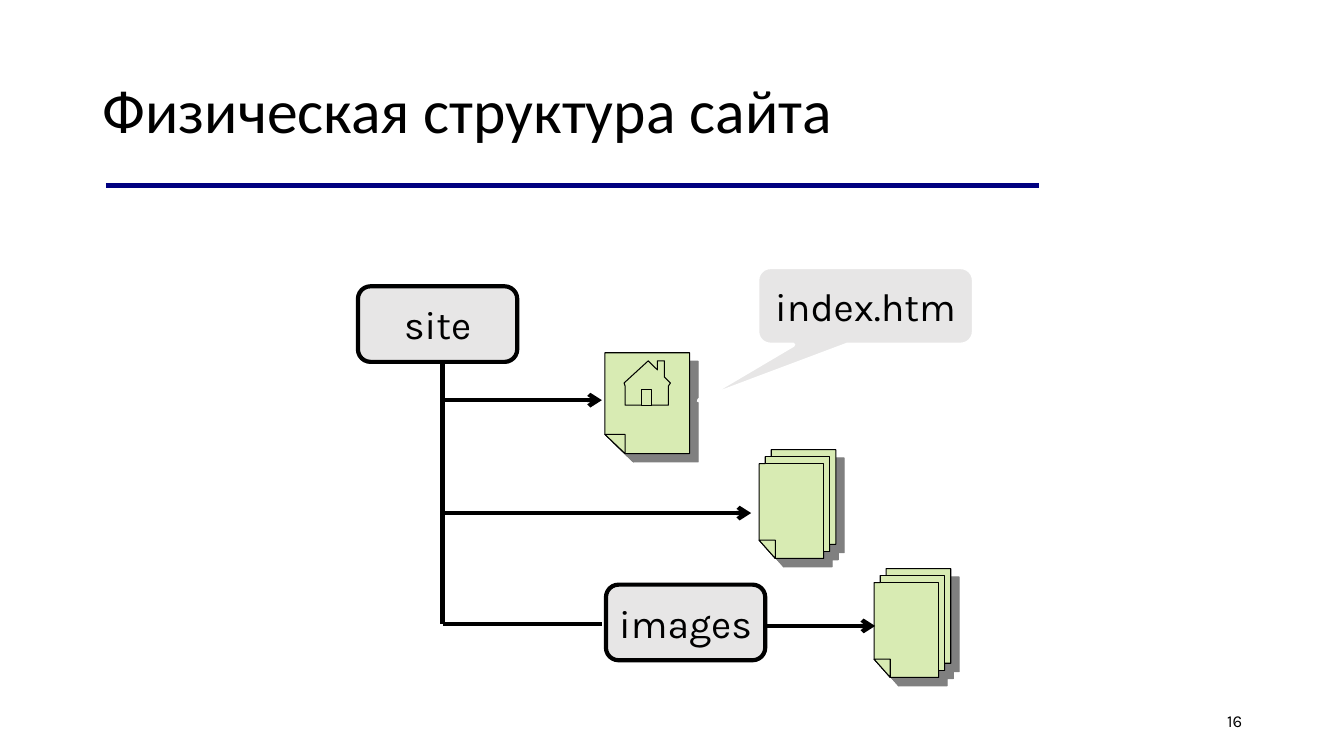
import lxml.etree
import pptx
import pptx.dml.color
import pptx.enum.shapes
import pptx.enum.text
import pptx.oxml.ns
import pptx.util

SHAPE = pptx.enum.shapes.MSO_SHAPE
ALIGN = pptx.enum.text.PP_ALIGN
PX = 9144  # EMU, 100 px to the inch
COLORS = {
    "ink": "000000",
    "folder": "E7E6E6",
    "sheet": "D8EBB3",
    "shade": "808080",
    "rule": "000080",
    "paper": "FFFFFF",
}

# Outlines of the file icons, in px from the icon's top left corner
HOME_PAGE = [
    [(20, 100), (0, 81), (0, 0), (84, 0), (84, 100)],
    [(0, 81), (20, 81), (20, 100)],
    [(20, 33), (20, 52), (63, 52), (63, 33), (65, 30), (59, 24),
     (59, 8), (52, 8), (52, 17), (43, 8), (19, 30)],
    [(36, 52), (36, 36), (46, 36), (46, 52)],
]
PAGE_STACK = [
    [(0, 90), (0, 14), (6, 14), (6, 7), (12, 7), (12, 0), (76, 0), (76, 94),
     (70, 94), (70, 101), (64, 101), (64, 108), (16, 108)],
    [(12, 7), (70, 7), (70, 101), (64, 101), (64, 14), (6, 14), (6, 7)],
    [(0, 90), (16, 90), (16, 108)],
]


def color(name):
    return pptx.dml.color.RGBColor.from_string(COLORS[name])


def add_child(parent, tag, **attributes):
    return lxml.etree.SubElement(parent, pptx.oxml.ns.qn(tag), attributes)


class Page:
    """The current slide and the style of its elements."""

    def __init__(self, deck):
        self.shapes = deck.slides.add_slide(deck.slide_layouts[6]).shapes

    def set_text(self, box, text, size, font="Karla", align=ALIGN.CENTER, wrap=False):
        frame = box.text_frame
        frame.word_wrap = wrap
        frame.vertical_anchor = pptx.enum.text.MSO_ANCHOR.MIDDLE
        para = frame.paragraphs[0]
        para.text = text
        para.alignment = align
        para.font.size = pptx.util.Pt(size)
        para.font.name = font
        para.font.color.rgb = color("ink")
        return para

    def paint(self, shape, fill, line, width):
        shape.shadow.inherit = False
        shape.fill.solid()
        shape.fill.fore_color.rgb = color(fill)
        shape.line.color.rgb = color(line)
        shape.line.width = pptx.util.Pt(width)

    def text(self, left, top, width, height, text, size, **style):
        box = self.shapes.add_textbox(left * PX, top * PX, width * PX, height * PX)
        return self.set_text(box, text, size, wrap=True, **style)

    def label(self, kind, left, top, width, height, text, line="ink"):
        box = self.shapes.add_shape(kind, left * PX, top * PX, width * PX, height * PX)
        self.paint(box, "folder", line, 3)
        self.set_text(box, text, 28)
        return box

    def line(self, start, end, stroke="ink", arrow=False):
        line = self.shapes.add_connector(
            pptx.enum.shapes.MSO_CONNECTOR.STRAIGHT,
            *(value * PX for value in start + end))
        line.line.color.rgb = color(stroke)
        line.line.width = pptx.util.Pt(3)
        properties = line._element.spPr
        if arrow:
            add_child(properties.find(pptx.oxml.ns.qn("a:ln")), "a:tailEnd", type="arrow")
        add_child(properties, "a:effectLst")

    def icon(self, left, top, outlines):
        """Draw closed outlines as one shape with a hard shadow."""
        contours = [[(left + x, top + y) for x, y in outline] for outline in outlines]
        builder = self.shapes.build_freeform(*contours[0][0], scale=PX)
        builder.add_line_segments(contours[0][1:])
        for contour in contours[1:]:
            builder.move_to(*contour[0])
            builder.add_line_segments(contour[1:])
        shape = builder.convert_to_shape()
        self.paint(shape, "sheet", "ink", 0.75)
        self.separate_contours(shape)
        effects = shape._element.spPr.find(pptx.oxml.ns.qn("a:effectLst"))
        shadow = add_child(effects, "a:outerShdw", dist="107950", dir="2700000",
                           algn="ctr", rotWithShape="0")
        add_child(shadow, "a:srgbClr", val=COLORS["shade"])

    def separate_contours(self, shape):
        """Give each contour its own outline, so that inner ones are filled too."""
        outline = next(shape._element.iter(pptx.oxml.ns.qn("a:path")))
        geometry = outline.getparent()
        size = dict(outline.attrib)
        for step in list(outline):
            if step.tag == pptx.oxml.ns.qn("a:moveTo"):
                contour = add_child(geometry, "a:path", **size)
            contour.append(step)
        geometry.remove(outline)


def main():
    deck = pptx.Presentation()
    deck.slide_width, deck.slide_height = 1333 * PX, 750 * PX
    page = Page(deck)

    title = page.text(92, 40, 1150, 145, "Физическая структура сайта", 44,
                      font="Calibri", align=ALIGN.LEFT)
    title.line_spacing = 0.9
    page.line((105, 184), (1030, 184), stroke="rule")
    page.text(942, 695, 300, 40, "16", 12, align=ALIGN.RIGHT)

    for left, top, name in [(355, 284, "site"), (601, 580, "images")]:
        page.label(SHAPE.FLOWCHART_ALTERNATE_PROCESS, left, top, 158, 75, name)

    trunk = 439
    page.line((trunk, 359), (trunk, 619))
    page.line((trunk, 619), (597, 619))
    page.line((trunk, 397), (597, 397), arrow=True)
    page.line((trunk, 509), (745, 509), arrow=True)

    page.icon(600, 350, HOME_PAGE)
    page.icon(753, 446, PAGE_STACK)
    page.icon(867, 564, PAGE_STACK)
    page.line((759, 621), (868, 621), arrow=True)

    callout = page.label(SHAPE.ROUNDED_RECTANGULAR_CALLOUT, 751, 265, 215, 77,
                         "index.htm", line="paper")
    for index, value in enumerate([-0.77, 1.22, 0.17]):
        callout.adjustments[index] = value

    deck.save("out.pptx")


if __name__ == "__main__":
    main()
